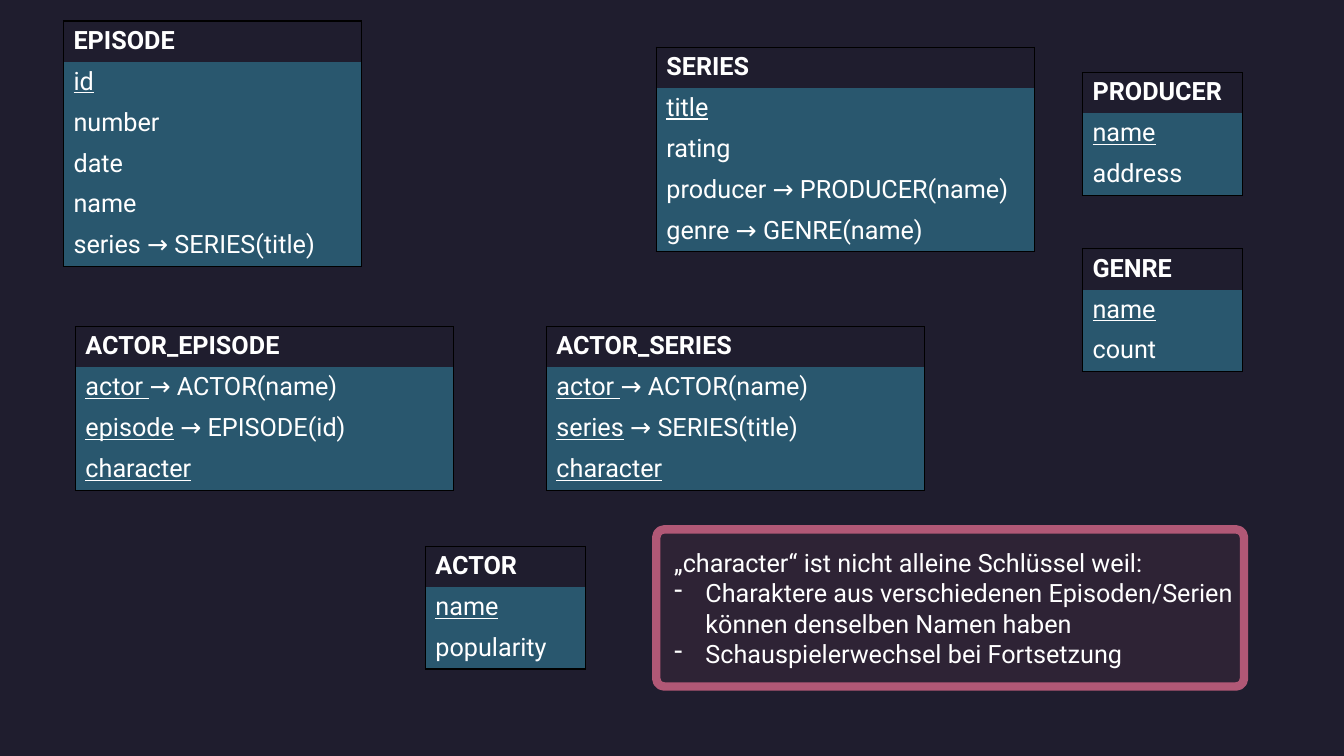
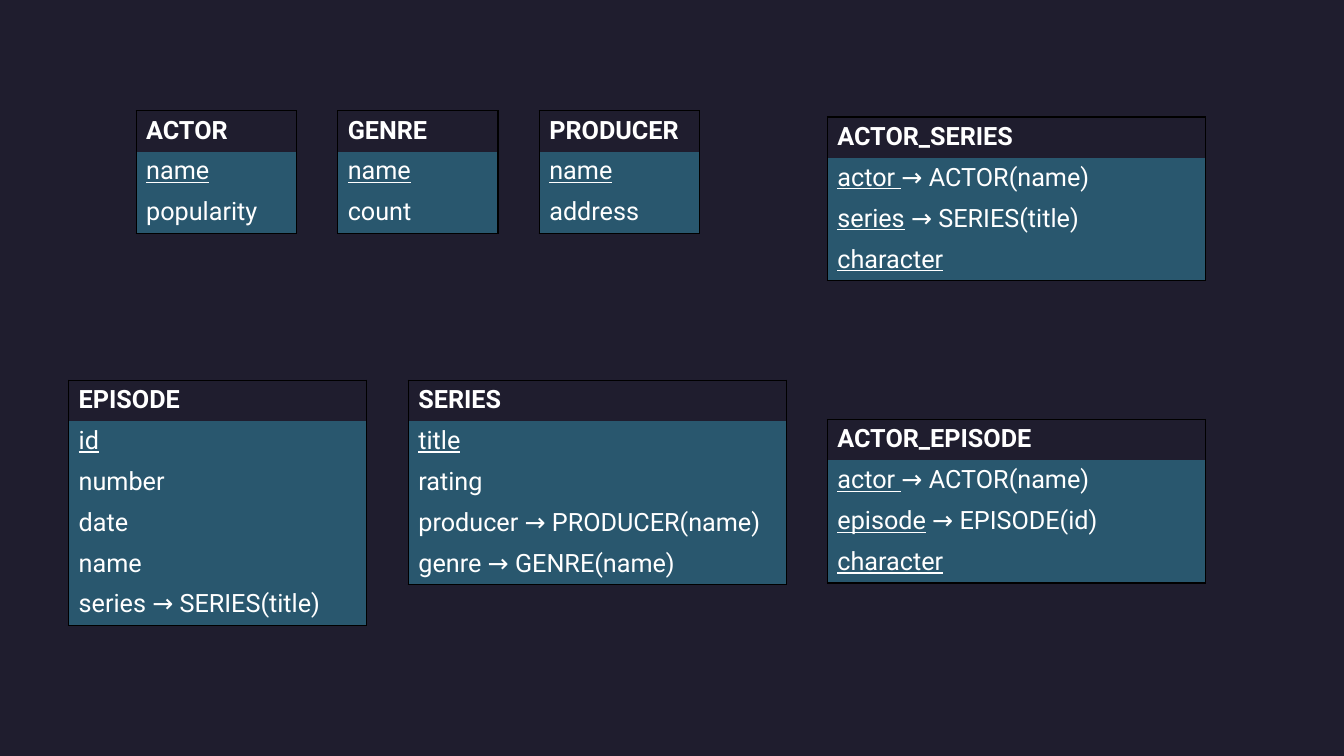
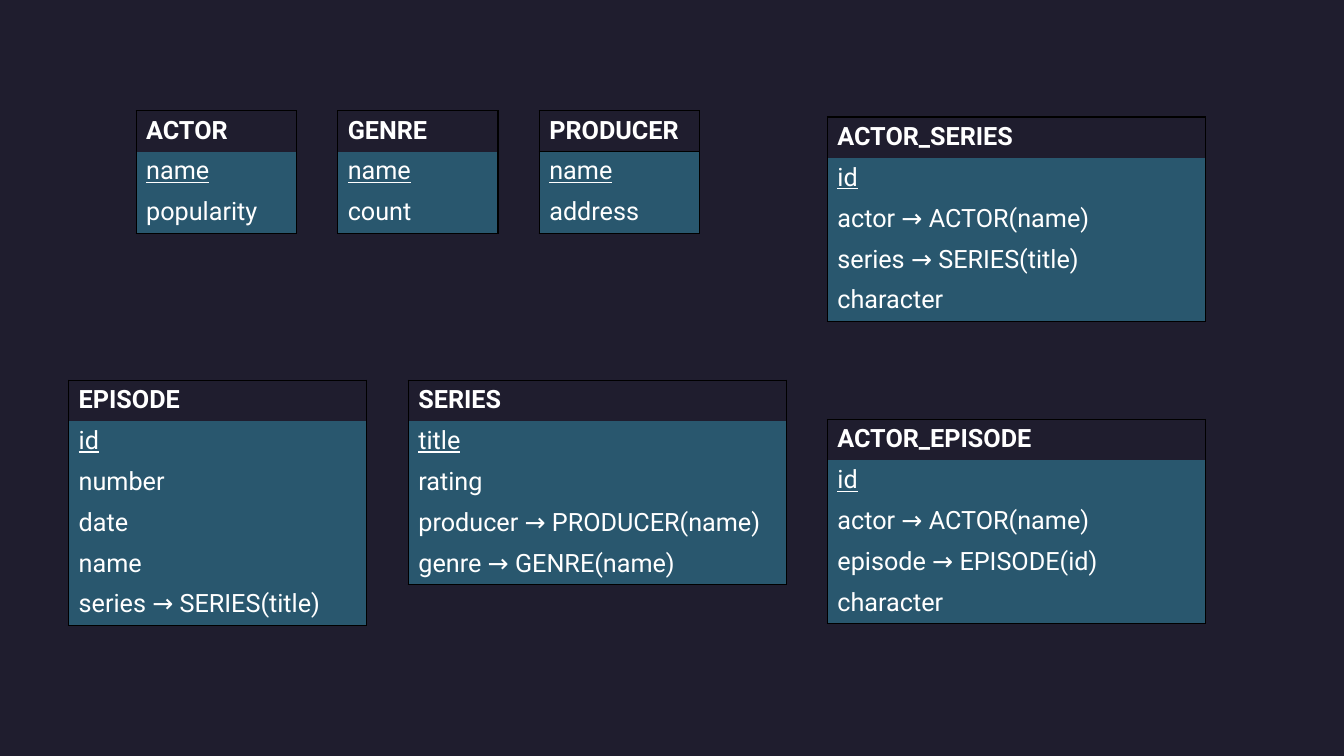
"""Build three slides showing a relational schema for series, episodes and actors."""

from dataclasses import dataclass
from typing import NamedTuple

from lxml import etree
from pptx import Presentation
from pptx.dml.color import RGBColor
from pptx.enum.shapes import MSO_SHAPE
from pptx.oxml.ns import qn
from pptx.slide import Slide
from pptx.table import _Cell
from pptx.text.text import _Paragraph, _Run
from pptx.util import Cm, Pt

ROUNDED = MSO_SHAPE.ROUNDED_RECTANGLE


@dataclass(frozen=True)
class Theme:
    background: RGBColor = RGBColor(0x1F, 0x1D, 0x2E)
    row_fill: RGBColor = RGBColor(0x29, 0x57, 0x6E)
    border: RGBColor = RGBColor(0x00, 0x00, 0x00)
    text: RGBColor = RGBColor(0xFF, 0xFF, 0xFF)
    note_fill: RGBColor = RGBColor(0x2E, 0x23, 0x35)
    note_line: RGBColor = RGBColor(0xB1, 0x58, 0x76)
    font: str = "Roboto"
    text_size: Pt = Pt(18)
    border_width: Pt = Pt(1)
    note_line_width: Pt = Pt(6)
    row_height: Cm = Cm(1.03)
    bullet_indent: Cm = Cm(0.79)


THEME = Theme()


class Field(NamedTuple):
    key: str = ""
    rest: str = ""


@dataclass(frozen=True)
class Entity:
    name: str
    width: float
    fields: tuple[Field, ...]


class Placement(NamedTuple):
    entity: Entity
    left: float
    top: float
    header_rule: bool = False


NARROW, MEDIUM, WIDE = 4.04, 7.5, 9.53

ACTOR = Entity("ACTOR", NARROW, (Field("name"), Field(rest="popularity")))
GENRE = Entity("GENRE", NARROW, (Field("name"), Field(rest="count")))
PRODUCER = Entity("PRODUCER", NARROW, (Field("name"), Field(rest="address")))
SERIES = Entity("SERIES", WIDE, (
    Field("title"),
    Field(rest="rating"),
    Field(rest="producer → PRODUCER(name)"),
    Field(rest="genre → GENRE(name)"),
))
EPISODE = Entity("EPISODE", MEDIUM, (
    Field("id"),
    Field(rest="number"),
    Field(rest="date"),
    Field(rest="name"),
    Field(rest="series → SERIES(title)"),
))
ACTOR_SERIES = Entity("ACTOR_SERIES", WIDE, (
    Field("actor ", "→ ACTOR(name)"),
    Field("series", " → SERIES(title)"),
    Field("character"),
))
ACTOR_EPISODE = Entity("ACTOR_EPISODE", WIDE, (
    Field("actor ", "→ ACTOR(name)"),
    Field("episode", " → EPISODE(id)"),
    Field("character"),
))

NOTE_TITLE = "„character“ ist nicht alleine Schlüssel weil:"
NOTE_POINTS = (
    "Charaktere aus verschiedenen Episoden/Serien können denselben Namen haben",
    "Schauspielerwechsel bei Fortsetzung",
)


def with_id(entity: Entity) -> Entity:
    plain = tuple(Field(rest=field.key + field.rest) for field in entity.fields)
    return Entity(entity.name, entity.width, (Field("id"), *plain))


def style_span(span: _Run, bold: bool = False, underline: bool = False) -> None:
    font = span.font
    font.name = THEME.font
    font.size = THEME.text_size
    font.color.rgb = THEME.text
    font.bold = bold
    font.underline = underline


def set_borders(cell: _Cell, visible: set[str]) -> None:
    properties = cell._tc.get_or_add_tcPr()
    for position, side in enumerate("LRTB"):
        line = etree.Element(qn(f"a:ln{side}"), w=str(THEME.border_width))
        if side in visible:
            fill = etree.SubElement(line, qn("a:solidFill"))
            etree.SubElement(fill, qn("a:srgbClr"), val=str(THEME.border))
        else:
            etree.SubElement(line, qn("a:noFill"))
        properties.insert(position, line)


def write_field(paragraph: _Paragraph, field: Field) -> None:
    paragraph.text = field.key or field.rest
    style_span(paragraph.runs[0], underline=bool(field.key))
    if field.key and field.rest:
        span = paragraph.add_run()
        span.text = field.rest
        style_span(span)


def draw_entity(page: Slide, placement: Placement) -> None:
    entity = placement.entity
    row_count = len(entity.fields) + 1
    frame = page.shapes.add_table(
        row_count, 1, Cm(placement.left), Cm(placement.top),
        Cm(entity.width), THEME.row_height * row_count,
    )
    table = frame.table
    table.first_row = False
    table.horz_banding = False
    for index, row in enumerate(table.rows):
        row.height = THEME.row_height
        cell = row.cells[0]
        paragraph = cell.text_frame.paragraphs[0]
        cell.fill.solid()
        visible = {"L", "R"}
        if index == 0:
            cell.fill.fore_color.rgb = THEME.background
            paragraph.text = entity.name
            style_span(paragraph.runs[0], bold=True)
            visible.add("T")
            if placement.header_rule:
                visible.add("B")
        else:
            cell.fill.fore_color.rgb = THEME.row_fill
            write_field(paragraph, entity.fields[index - 1])
            if index == 1 and placement.header_rule:
                visible.add("T")
            if index == row_count - 1:
                visible.add("B")
        set_borders(cell, visible)


def add_dash(paragraph: _Paragraph) -> None:
    properties = paragraph._p.get_or_add_pPr()
    properties.set("marL", str(THEME.bullet_indent))
    properties.set("indent", str(-THEME.bullet_indent))
    etree.SubElement(properties, qn("a:buChar"), char="-")


def draw_note(page: Slide) -> None:
    group = page.shapes.add_group_shape()
    panel = group.shapes.add_shape(ROUNDED, Cm(16.54), Cm(13.34), Cm(14.81), Cm(3.96))
    panel.adjustments[0] = 0.05
    panel.shadow.inherit = False
    panel.fill.solid()
    panel.fill.fore_color.rgb = THEME.note_fill
    panel.line.color.rgb = THEME.note_line
    panel.line.width = THEME.note_line_width
    box = group.shapes.add_textbox(Cm(16.74), Cm(13.67), Cm(14.61), Cm(3.33))
    box.text_frame.word_wrap = True
    box.text_frame.text = "\n".join((NOTE_TITLE, *NOTE_POINTS))
    for index, paragraph in enumerate(box.text_frame.paragraphs):
        style_span(paragraph.runs[0])
        if index:
            add_dash(paragraph)


def overview(
    actor_series: Entity, actor_episode: Entity, producer_rule: bool = False
) -> tuple[Placement, ...]:
    left, step, top = 3.43, 5.08, 2.79
    lower_top, link_left = 9.58, 20.85
    return (
        Placement(ACTOR, left, top),
        Placement(GENRE, left + step, top),
        Placement(PRODUCER, left + 2 * step, top, producer_rule),
        Placement(SERIES, 10.29, lower_top),
        Placement(EPISODE, 1.73, lower_top),
        Placement(actor_series, link_left, 2.95),
        Placement(actor_episode, link_left, 10.57),
    )


SCHEMA_WITH_NOTE = (
    Placement(ACTOR, 10.72, 13.77),
    Placement(GENRE, 27.28, 6.27),
    Placement(PRODUCER, 27.28, 1.83),
    Placement(SERIES, 16.54, 1.19),
    Placement(EPISODE, 1.6, 0.53),
    Placement(ACTOR_SERIES, 13.77, 8.23),
    Placement(ACTOR_EPISODE, 1.9, 8.23),
)


def main() -> None:
    deck = Presentation()
    deck.slide_width = Cm(33.87)
    deck.slide_height = Cm(19.05)
    background = deck.slide_master.background.fill
    background.solid()
    background.fore_color.rgb = THEME.background
    blank = deck.slide_layouts[6]
    schemas = (
        SCHEMA_WITH_NOTE,
        overview(ACTOR_SERIES, ACTOR_EPISODE),
        overview(with_id(ACTOR_SERIES), with_id(ACTOR_EPISODE), producer_rule=True),
    )
    for schema in schemas:
        page = deck.slides.add_slide(blank)
        for placement in schema:
            draw_entity(page, placement)
        if schema is SCHEMA_WITH_NOTE:
            draw_note(page)
    deck.save("out.pptx")


if __name__ == "__main__":
    main()
